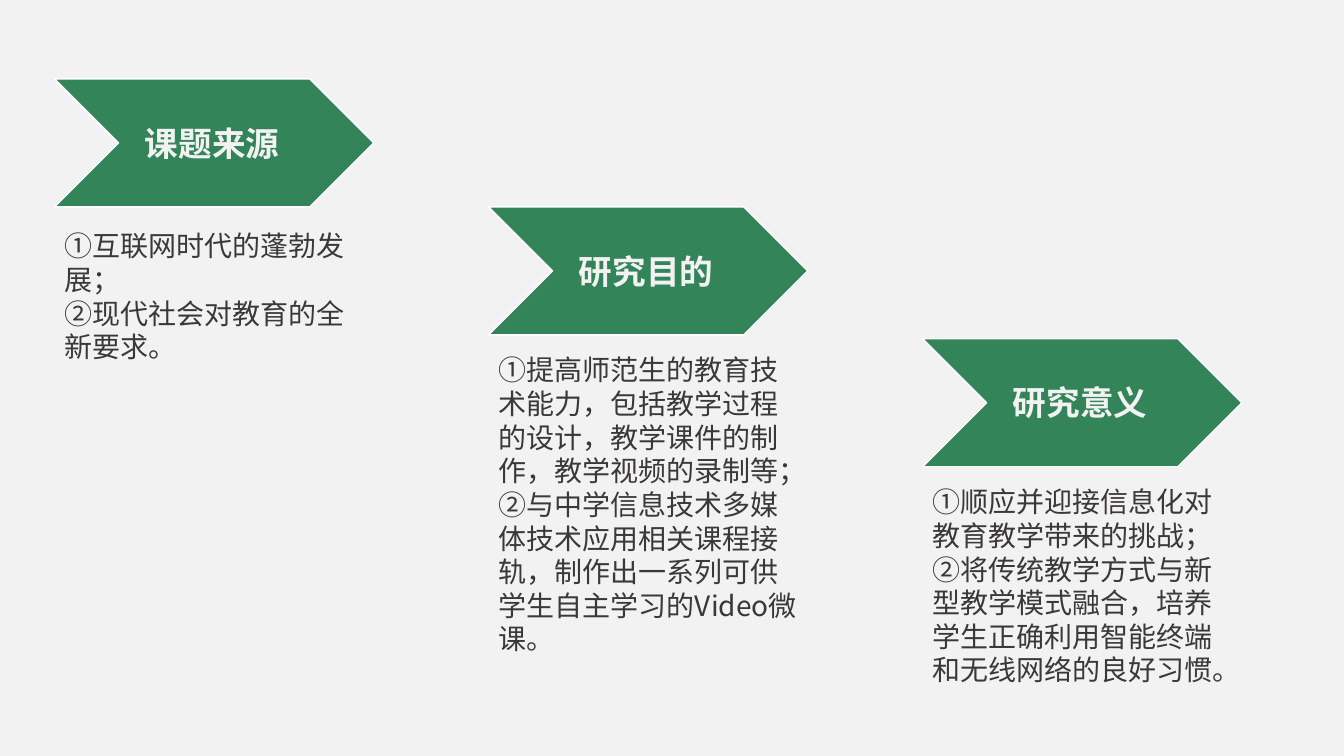
from lxml import etree
from pptx import Presentation
from pptx.dml.color import RGBColor
from pptx.enum.shapes import MSO_SHAPE as SHAPE
from pptx.enum.text import PP_ALIGN as ALIGN
from pptx.oxml.ns import qn
from pptx.util import Pt

COLORS = {"back": "F2F2F2", "green": "338459", "edge": "FFFFFF", "text": "3B3838"}
HEAD_FONT, BODY_FONT = "Noto Sans CJK JP", "Noto Sans CJK SC"


def rgb(name):
    return RGBColor.from_string(COLORS[name])


def add_text(s, left, top, width, height, text, size, font, color, bold=False, align=ALIGN.LEFT):
    tf = s.shapes.add_textbox(Pt(left), Pt(top), Pt(width), Pt(height)).text_frame
    tf.word_wrap = True
    tf.text = text
    for p in tf.paragraphs:
        p.alignment = align
        for r in p.runs:
            r.font.size = Pt(size)
            r.font.bold = bold
            r.font.name = font
            r.font.color.rgb = rgb(color)
            # East Asian typeface for the Chinese characters
            etree.SubElement(r.font._element, qn("a:ea")).set("typeface", font)


prs = Presentation()
prs.slide_width, prs.slide_height = Pt(960), Pt(540)
s = prs.slides.add_slide(prs.slide_layouts[6])
s.background.fill.solid()
s.background.fill.fore_color.rgb = rgb("back")

# Each step: title, arrow top, body top, body height, body text
STEPS = [
    ("课题来源", 56.4, 160, 104.4,
     "①互联网时代的蓬勃发展；\n②现代社会对教育的全新要求。"),
    ("研究目的", 147.8, 248.6, 225.4,
     "①提高师范生的教育技术能力，包括教学过程的设计，教学课件的制作，教学视频的录制等；"
     "②与中学信息技术多媒体技术应用相关课程接轨，制作出一系列可供学生自主学习的Video微课。"),
    ("研究意义", 242, 342.8, 152.6,
     "①顺应并迎接信息化对教育教学带来的挑战；\n"
     "②将传统教学方式与新型教学模式融合，培养学生正确利用智能终端和无线网络的良好习惯。"),
]
LEFT, STEP, WIDTH, ARROW_H = 39, 310, 228, 91.4

for i, (title, top, body_top, body_h, body) in enumerate(STEPS):
    left = LEFT + i * STEP

    # Arrow
    sp = s.shapes.add_shape(SHAPE.CHEVRON, Pt(left), Pt(top), Pt(WIDTH), Pt(ARROW_H))
    sp.shadow.inherit = False
    sp.fill.solid()
    sp.fill.fore_color.rgb = rgb("green")
    sp.line.color.rgb = rgb("edge")
    sp.line.width = Pt(1)

    # Title and body
    add_text(s, left + 19, top + 27.6, 187, 36, title, 24, HEAD_FONT, "back", True, ALIGN.CENTER)
    add_text(s, left, body_top, WIDTH, body_h, body, 20, BODY_FONT, "text")

prs.save("out.pptx")
